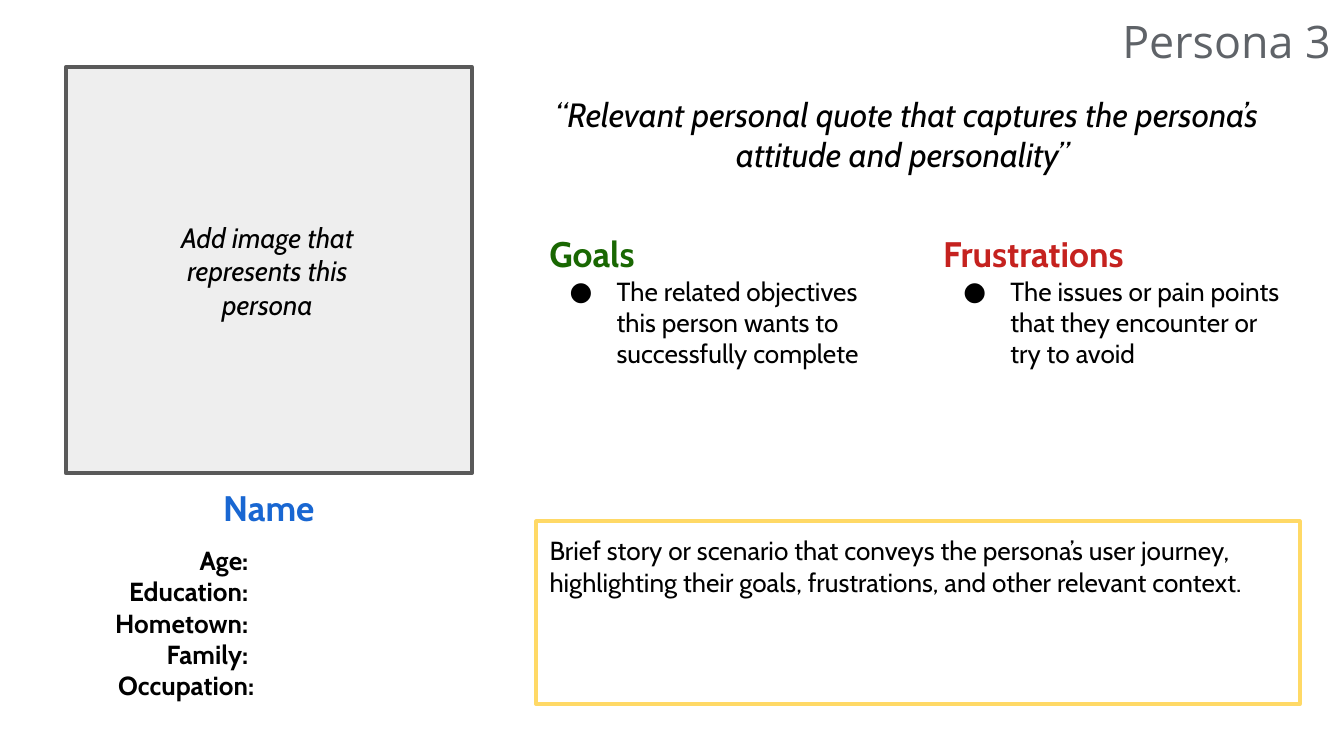
from dataclasses import dataclass

from lxml import etree
from pptx import Presentation
from pptx.dml.color import RGBColor
from pptx.enum.shapes import MSO_SHAPE
from pptx.enum.text import MSO_ANCHOR, PP_ALIGN
from pptx.oxml.ns import qn
from pptx.util import Inches, Pt

RECTANGLE = MSO_SHAPE.RECTANGLE
LEFT, CENTER, RIGHT = PP_ALIGN.LEFT, PP_ALIGN.CENTER, PP_ALIGN.RIGHT
TOP, MIDDLE = MSO_ANCHOR.TOP, MSO_ANCHOR.MIDDLE


@dataclass(frozen=True)
class Theme:
    font: str = "Cabin"
    title_font: str = "Open Sans"
    text: str = "000000"
    title: str = "5F6368"
    name: str = "1967D2"
    goals: str = "196702"
    frustrations: str = "C5221F"
    photo_fill: str = "EEEEEE"
    photo_line: str = "595959"
    story_line: str = "FFD966"
    title_size: int = 24
    heading_size: int = 19
    quote_size: int = 18
    hint_size: int = 15
    body_size: int = 14
    line_width: float = 2.25


THEME = Theme()


def style_para(para, size, color=THEME.text, font=THEME.font,
               bold=False, italic=False, align=LEFT):
    para.alignment = align
    for span in para.runs:
        span.font.name = font
        span.font.size = Pt(size)
        span.font.bold = bold
        span.font.italic = italic
        span.font.color.rgb = RGBColor.from_string(color)


def fill_text(box, text, size, anchor=TOP, left_inset=0.1, **style):
    """Write one paragraph per line of text, all in one style."""
    frame = box.text_frame
    frame.word_wrap = True
    frame.vertical_anchor = anchor
    frame.margin_left = Inches(left_inset)
    frame.margin_top = frame.margin_right = frame.margin_bottom = Inches(0.1)
    frame.text = text
    for para in frame.paragraphs:
        style_para(para, size, **style)


def add_text(page, area, text, size, **style):
    box = page.shapes.add_textbox(*map(Inches, area))
    fill_text(box, text, size, **style)
    return box


def add_frame(page, area, line, fill=None):
    """Add an outlined rectangle, filled only if a colour is given."""
    frame = page.shapes.add_shape(RECTANGLE, *map(Inches, area))
    frame.shadow.inherit = False
    frame.line.color.rgb = RGBColor.from_string(line)
    frame.line.width = Pt(THEME.line_width)
    if fill:
        frame.fill.solid()
        frame.fill.fore_color.rgb = RGBColor.from_string(fill)
    else:
        frame.fill.background()
    return frame


def add_bullet(para, size):
    properties = para._p.get_or_add_pPr()
    properties.set("marL", str(Inches(0.5)))
    properties.set("indent", str(Inches(-0.35)))
    color = etree.SubElement(properties, qn("a:buClr"))
    etree.SubElement(color, qn("a:srgbClr"), val=THEME.text)
    etree.SubElement(properties, qn("a:buSzPts"), val=str(size * 100))
    etree.SubElement(properties, qn("a:buFont"), typeface=THEME.font)
    etree.SubElement(properties, qn("a:buChar"), char="●")


def add_list(page, left, heading, color, item):
    box = add_text(page, (left, 1.63, 2.76, 2.11), heading,
                   THEME.heading_size, color=color, bold=True)
    para = box.text_frame.add_paragraph()
    para.text = item
    style_para(para, THEME.body_size)
    add_bullet(para, THEME.body_size)


def main():
    # Widescreen 16:9 page
    deck = Presentation()
    deck.slide_width = Inches(10)
    deck.slide_height = Inches(10) * 9 // 16
    page = deck.slides.add_slide(deck.slide_layouts[6])

    # Portrait area with name and profile labels
    add_frame(page, (0.49, 0.5, 3.02, 3.02), THEME.photo_line, THEME.photo_fill)
    add_text(page, (0.49, 3.52, 3.02, 0.52), "Name", THEME.heading_size,
             color=THEME.name, bold=True, align=CENTER)
    labels = ["Age: ", "Education: ", "Hometown: ", "Family: ", "Occupation:"]
    add_text(page, (0.35, 3.95, 1.64, 1.33), "\n".join(labels),
             THEME.body_size, bold=True, align=RIGHT)

    # Quote
    add_text(page, (3.99, 0.5, 5.51, 0.99),
             "“Relevant personal quote that captures the persona’s "
             "attitude and personality” ",
             THEME.quote_size, anchor=MIDDLE, italic=True, align=CENTER)

    # Goals and frustrations
    add_list(page, 3.99, "Goals ", THEME.goals,
             "The related objectives this person wants to successfully complete")
    add_list(page, 6.92, "Frustrations ", THEME.frustrations,
             "The issues or pain points that they encounter or try to avoid")

    # Story
    story = add_frame(page, (3.99, 3.88, 5.68, 1.36), THEME.story_line)
    fill_text(story,
              "Brief story or scenario that conveys the persona’s user journey, "
              "highlighting their goals, frustrations, and other relevant context.",
              THEME.body_size)

    # Portrait hint and page title
    add_text(page, (1.08, 1.58, 1.82, 0.87),
             "Add image that represents this persona",
             THEME.hint_size, anchor=MIDDLE, italic=True, align=CENTER)
    add_text(page, (7.73, 0, 2.27, 0.61), "Persona 3", THEME.title_size,
             left_inset=0, font=THEME.title_font, color=THEME.title, align=RIGHT)

    deck.save("out.pptx")


if __name__ == "__main__":
    main()
